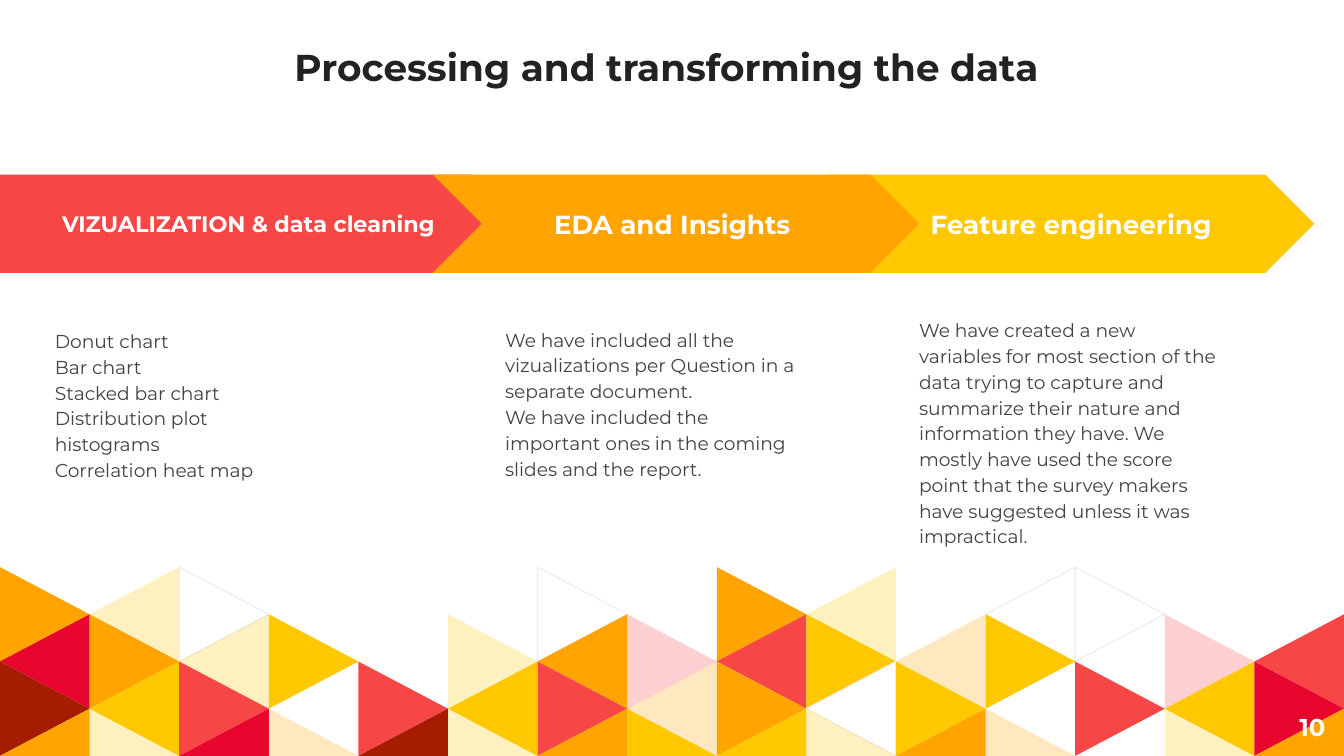
"""Build the data processing slide: three arrow stages above a triangle mosaic."""
from dataclasses import dataclass

from lxml import etree
from pptx import Presentation
from pptx.dml.color import RGBColor
from pptx.enum import shapes, text
from pptx.oxml import ns
from pptx.util import Inches, Pt

FONT = "Montserrat"
WHITE = RGBColor(0xFF, 0xFF, 0xFF)
INK = RGBColor(0x22, 0x22, 0x22)
GREY = RGBColor(0x43, 0x43, 0x43)
PALE_GREY = RGBColor(0xEF, 0xEF, 0xEF)
ORANGE = RGBColor(0xFF, 0xA4, 0x00)
YELLOW = RGBColor(0xFF, 0xC8, 0x00)
RED = RGBColor(0xF6, 0x46, 0x46)
CRIMSON = RGBColor(0xE8, 0x06, 0x2F)
BROWN = RGBColor(0xA6, 0x1C, 0x00)

SLIDE_WIDTH = 10
SLIDE_HEIGHT = SLIDE_WIDTH * 9 / 16
MOSAIC = (
    "OyW...W.Oy.WW..",
    "COyY.yOrRYoY.rR",
    "BYR.RYRoOWY.RYC",
    "OyCoByOYYyOo.yO",
)
MOSAIC_TOP = 4.22
TILE_WIDTH = SLIDE_WIDTH / len(MOSAIC[0])
TILE_RISE = (SLIDE_HEIGHT - MOSAIC_TOP) / len(MOSAIC)
TILE_COLORS = {"O": ORANGE, "Y": YELLOW, "R": RED, "C": CRIMSON, "B": BROWN, "W": WHITE}


@dataclass(frozen=True)
class Stage:
    label: str
    preset: shapes.MSO_SHAPE
    left: float
    width: float
    size: int
    color: RGBColor


@dataclass(frozen=True)
class TextBlock:
    left: float
    top: float
    width: float
    height: float
    lines: tuple[str, ...]
    size: int = 10
    color: RGBColor = GREY
    bold: bool = False
    align: text.PP_ALIGN = text.PP_ALIGN.LEFT
    anchor: text.MSO_ANCHOR = text.MSO_ANCHOR.TOP
    spacing: float = 1.15


STAGES = (
    Stage("Feature engineering", shapes.MSO_SHAPE.CHEVRON, 6.16, 3.62, 14, YELLOW),
    Stage("VIZUALIZATION & data cleaning", shapes.MSO_SHAPE.PENTAGON, 0, 3.88, 12, RED),
    Stage("EDA and Insights ", shapes.MSO_SHAPE.CHEVRON, 3.22, 3.62, 14, ORANGE),
)

TEXT_BLOCKS = (
    TextBlock(0, 0, 10, 0.76, ("Processing and transforming the data ",), 20, INK, True,
              text.PP_ALIGN.CENTER, text.MSO_ANCHOR.BOTTOM, 1.0),
    TextBlock(9.36, 5.19, 0.6, 0.43, ("10",), 13, WHITE, True,
              text.PP_ALIGN.RIGHT, text.MSO_ANCHOR.MIDDLE, 1.0),
    TextBlock(0.31, 2.33, 2.45, 2.86, (
        "Donut chart", "Bar chart", "Stacked bar chart", "Distribution plot",
        "histograms", "Correlation heat map")),
    TextBlock(3.66, 2.32, 2.45, 2.86, (
        "We have included all the vizualizations per Question in a separate document.",
        "We have included the important ones in the coming slides and the report.")),
    TextBlock(6.74, 2.25, 2.45, 2.86, (
        "We have created a new variables for most section of the data trying to capture "
        "and summarize their nature and information they have. We mostly have used the "
        "score point that the survey makers have suggested unless it was impractical.",)),
)


def write_text(shape, block: TextBlock) -> None:
    frame = shape.text_frame
    frame.word_wrap = True
    frame.vertical_anchor = block.anchor
    frame.margin_left = frame.margin_right = Inches(0.1)
    frame.margin_top = frame.margin_bottom = Inches(0.1)
    frame.text = "\n".join(block.lines)
    for paragraph in frame.paragraphs:
        paragraph.alignment = block.align
        paragraph.line_spacing = block.spacing
        paragraph.font.name = FONT
        paragraph.font.size = Pt(block.size)
        paragraph.font.bold = block.bold
        paragraph.font.color.rgb = block.color


def add_text_block(slide, block: TextBlock) -> None:
    shape = slide.shapes.add_textbox(Inches(block.left), Inches(block.top),
                                     Inches(block.width), Inches(block.height))
    write_text(shape, block)


def paint(shape, color: RGBColor) -> None:
    shape.shadow.inherit = False
    shape.fill.solid()
    shape.fill.fore_color.rgb = color
    shape.line.fill.background()


def add_stage(slide, stage: Stage) -> None:
    top, height = 1.3, 0.73
    shape = slide.shapes.add_shape(stage.preset, Inches(stage.left), Inches(top),
                                   Inches(stage.width), Inches(height))
    paint(shape, stage.color)
    shape.adjustments[0] = 0.5
    write_text(shape, TextBlock(stage.left, top, stage.width, height, (stage.label,),
                                stage.size, WHITE, True, text.PP_ALIGN.CENTER,
                                text.MSO_ANCHOR.MIDDLE, 1.0))


def add_tile(slide, row: int, column: int, code: str) -> None:
    base, tip = (column, column + 1) if (row + column) % 2 == 0 else (column + 1, column)
    corners = [(base, row), (tip, row + 1), (base, min(row + 2, len(MOSAIC)))]
    points = [(Inches(x * TILE_WIDTH), Inches(MOSAIC_TOP + y * TILE_RISE)) for x, y in corners]
    builder = slide.shapes.build_freeform(*points[0])
    builder.add_line_segments(points[1:], close=True)
    shape = builder.convert_to_shape()
    paint(shape, TILE_COLORS[code.upper()])
    if code.islower():
        color = shape.element.spPr.find(".//" + ns.qn("a:srgbClr"))
        etree.SubElement(color, ns.qn("a:alpha"), val="25000")
    if code == "W":
        shape.line.color.rgb = PALE_GREY
        shape.line.width = Pt(0.75)


def main() -> None:
    presentation = Presentation()
    presentation.slide_width = Inches(SLIDE_WIDTH)
    presentation.slide_height = Inches(SLIDE_HEIGHT)
    slide = presentation.slides.add_slide(presentation.slide_layouts[6])
    for row, codes in enumerate(MOSAIC):
        for column, code in enumerate(codes):
            if code != ".":
                add_tile(slide, row, column, code)
    for stage in STAGES:
        add_stage(slide, stage)
    for block in TEXT_BLOCKS:
        add_text_block(slide, block)
    presentation.save("out.pptx")


if __name__ == "__main__":
    main()
